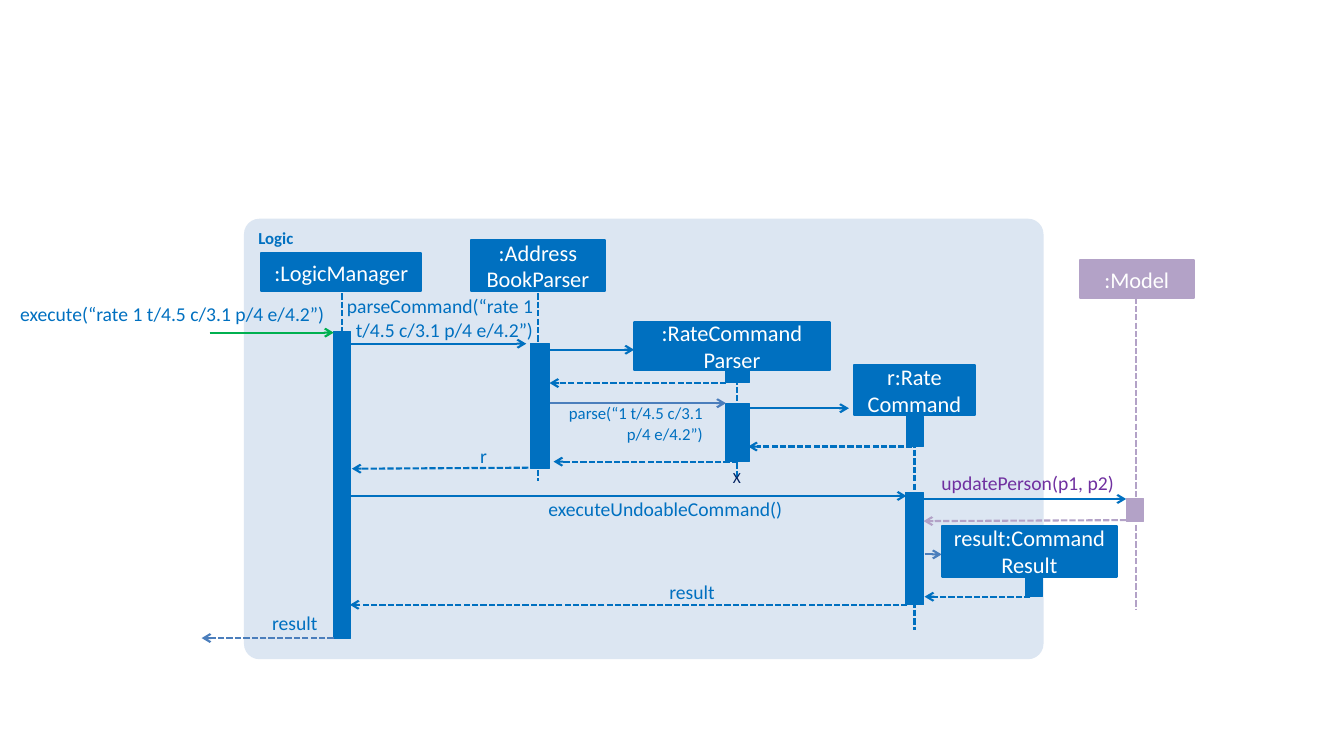
from lxml.etree import SubElement
from pptx import Presentation
from pptx.dml.color import RGBColor
from pptx.enum.dml import MSO_LINE
from pptx.enum.shapes import MSO_CONNECTOR, MSO_SHAPE
from pptx.enum.text import MSO_ANCHOR, MSO_AUTO_SIZE, PP_ALIGN
from pptx.oxml.ns import qn
from pptx.util import Inches, Pt

BLUE = RGBColor(0x00, 0x70, 0xC0)
STEEL = RGBColor(0x4B, 0x7E, 0xBC)
GREEN = RGBColor(0x00, 0xB0, 0x50)
LILAC = RGBColor(0xB3, 0xA2, 0xC7)
PURPLE = RGBColor(0x70, 0x30, 0xA0)
NAVY = RGBColor(0x00, 0x20, 0x60)
PALE = RGBColor(0xDC, 0xE6, 0xF2)
WHITE = RGBColor(0xFF, 0xFF, 0xFF)

prs = Presentation()
prs.slide_width, prs.slide_height = Inches(13.33), Inches(7.5)
s = prs.slides.add_slide(prs.slide_layouts[6])


def add_block(x, y, w, h, color, width):
    sp = s.shapes.add_shape(MSO_SHAPE.RECTANGLE, Inches(x), Inches(y), Inches(w), Inches(h))
    sp.shadow.inherit = False
    sp.fill.solid()
    sp.fill.fore_color.rgb = color
    sp.line.color.rgb = color
    sp.line.width = Pt(width)
    return sp


def add_line(x1, y1, x2, y2, color, dashed, arrow):
    c = s.shapes.add_connector(MSO_CONNECTOR.STRAIGHT, Inches(x1), Inches(y1), Inches(x2), Inches(y2))
    c.line.color.rgb = color
    c.line.width = Pt(1.5)
    if dashed:
        c.line.dash_style = MSO_LINE.SQUARE_DOT
    if arrow:
        SubElement(c.line._get_or_add_ln(), qn("a:tailEnd"), type="arrow")
    SubElement(c._element.spPr, qn("a:effectLst"))


# Logic component frame
frame = s.shapes.add_shape(MSO_SHAPE.ROUNDED_RECTANGLE, Inches(2.42), Inches(2.17), Inches(7.93), Inches(4.37))
frame.adjustments[0] = 0.035
frame.shadow.inherit = False
frame.fill.solid()
frame.fill.fore_color.rgb = PALE
frame.line.fill.background()
tf = frame.text_frame
tf.text = "Logic"
tf.vertical_anchor = MSO_ANCHOR.TOP
p = tf.paragraphs[0]
p.alignment = PP_ALIGN.LEFT
f = p.runs[0].font
f.name, f.size, f.bold, f.color.rgb = "Calibri", Pt(12), True, BLUE

# Lifelines: x, top, bottom
for x, top, bottom, color in [
    (3.39, 2.91, 5.75, BLUE),
    (5.34, 2.91, 4.77, BLUE),
    (7.31, 3.67, 4.75, BLUE),
    (9.07, 4.13, 6.25, BLUE),
    (11.27, 2.95, 6.05, LILAC),
]:
    add_line(x, top, x, bottom, color, True, False)

# Activation bars
for x, y, w, h, color in [
    (3.31, 3.29, 0.17, 3.04, BLUE),
    (5.26, 3.41, 0.19, 1.24, BLUE),
    (7.2, 3.67, 0.23, 0.13, BLUE),
    (7.2, 4, 0.23, 0.58, BLUE),
    (8.99, 4.13, 0.17, 0.3, BLUE),
    (8.98, 4.89, 0.18, 1.11, BLUE),
    (10.17, 5.73, 0.17, 0.19, BLUE),
    (11.17, 4.95, 0.17, 0.22, LILAC),
]:
    add_block(x, y, w, h, color, 0.75)

# Messages: sender to receiver, returns dashed
for x1, y1, x2, y2, color, dashed in [
    (2.08, 3.3, 3.31, 3.3, GREEN, False),
    (3.47, 3.41, 5.22, 3.41, BLUE, False),
    (5.4, 3.47, 6.29, 3.47, BLUE, False),
    (7.2, 3.8, 5.45, 3.8, BLUE, True),
    (5.45, 4, 7.2, 4, STEEL, False),
    (7.42, 4.05, 8.42, 4.05, BLUE, False),
    (9.05, 4.43, 7.42, 4.43, BLUE, True),
    (7.32, 4.58, 5.49, 4.58, BLUE, True),
    (5.24, 4.64, 3.49, 4.65, BLUE, True),
    (3.47, 4.92, 8.99, 4.92, BLUE, False),
    (9.16, 4.95, 11.17, 4.95, BLUE, False),
    (11.17, 5.16, 9.16, 5.17, LILAC, True),
    (9.17, 5.5, 9.34, 5.5, STEEL, False),
    (10.22, 5.92, 9.17, 5.92, BLUE, True),
    (9, 6, 3.47, 6, BLUE, True),
    (3.31, 6.33, 2, 6.33, STEEL, True),
]:
    add_line(x1, y1, x2, y2, color, dashed, True)

# Participants
for text, x, y, w, h, color in [
    (":LogicManager", 2.59, 2.51, 1.59, 0.38, BLUE),
    (":Address\nBookParser", 4.67, 2.38, 1.33, 0.51, BLUE),
    (":RateCommand\nParser", 6.29, 3.2, 1.94, 0.47, BLUE),
    ("r:Rate\vCommand", 8.47, 3.62, 1.2, 0.5, BLUE),
    ("result:Command Result", 9.34, 5.22, 1.74, 0.5, BLUE),
    (":Model", 10.71, 2.58, 1.13, 0.38, LILAC),
]:
    tf = add_block(x, y, w, h, color, 1.5).text_frame
    tf.text = text
    tf.vertical_anchor = MSO_ANCHOR.MIDDLE
    for p in tf.paragraphs:
        p.alignment = PP_ALIGN.CENTER
        for r in p.runs:
            r.font.name, r.font.size, r.font.color.rgb = "Calibri", Pt(16), WHITE

# Message labels
for text, x, y, w, h, size, color in [
    ("execute(“rate 1 t/4.5 c/3.1 p/4 e/4.2”)", -0.25, 3, 3.47, 0.24, 14, BLUE),
    ("parseCommand(“rate 1 t/4.5 c/3.1 p/4 e/4.2”)", 3.13, 2.92, 2.16, 0.47, 14, BLUE),
    ("parse(“1 t/4.5 c/3.1 p/4 e/4.2”)", 5.42, 4, 1.55, 0.4, 12, BLUE),
    ("r", 4.59, 4.4, 0.24, 0.24, 14, BLUE),
    ("executeUndoableCommand()", 5.25, 4.93, 2.51, 0.24, 14, BLUE),
    ("updatePerson(p1, p2)", 9.31, 4.67, 1.74, 0.24, 14, PURPLE),
    ("result", 6.41, 5.75, 0.68, 0.24, 14, BLUE),
    ("result", 2.32, 6.06, 0.83, 0.24, 14, BLUE),
]:
    tf = s.shapes.add_textbox(Inches(x), Inches(y), Inches(w), Inches(h)).text_frame
    tf.margin_left = tf.margin_right = tf.margin_top = tf.margin_bottom = 0
    tf.word_wrap = True
    tf.auto_size = MSO_AUTO_SIZE.SHAPE_TO_FIT_TEXT
    tf.text = text
    p = tf.paragraphs[0]
    p.alignment = PP_ALIGN.RIGHT
    f = p.runs[0].font
    f.name, f.size, f.color.rgb = "Calibri", Pt(size), color

# End of the parser's life
tf = s.shapes.add_textbox(Inches(7.17), Inches(4.59), Inches(0.28), Inches(0.29)).text_frame
tf.word_wrap = False
tf.auto_size = MSO_AUTO_SIZE.SHAPE_TO_FIT_TEXT
tf.text = "X"
f = tf.paragraphs[0].runs[0].font
f.name, f.size, f.color.rgb = "Calibri", Pt(11), NAVY

prs.save("out.pptx")
